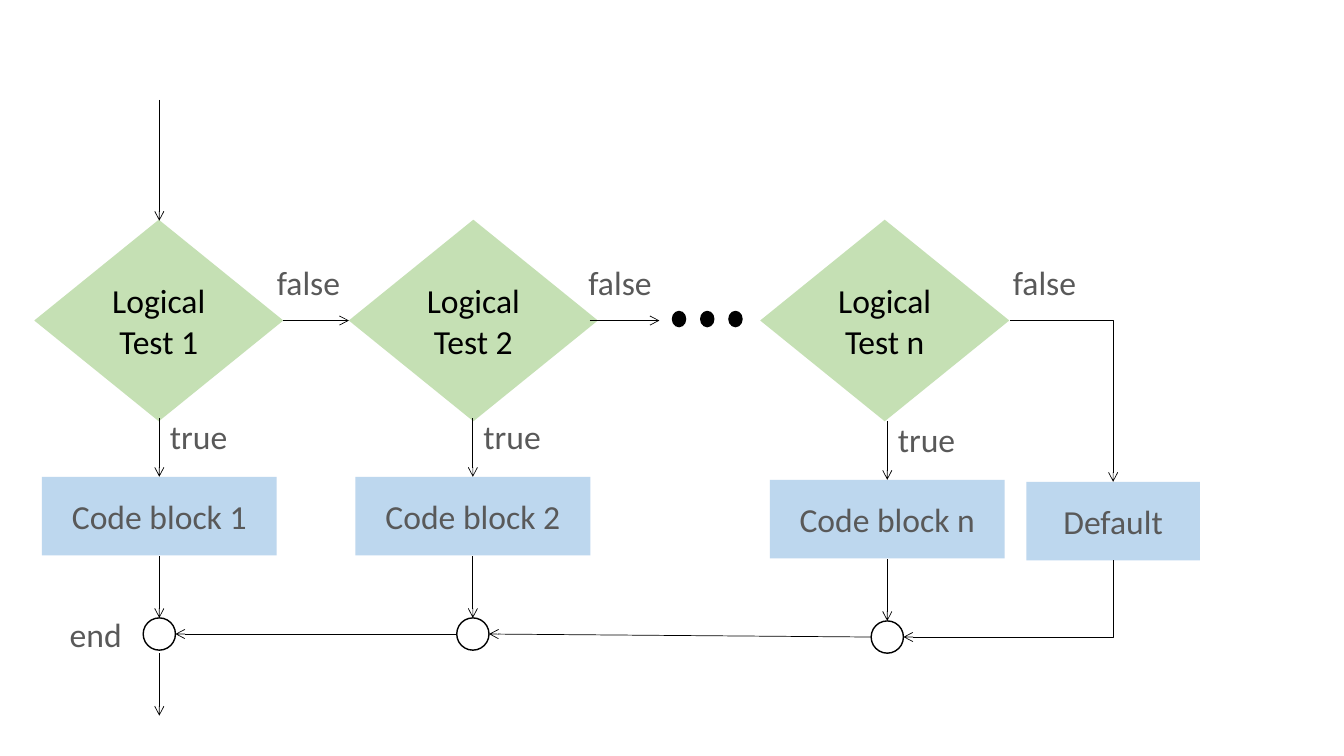
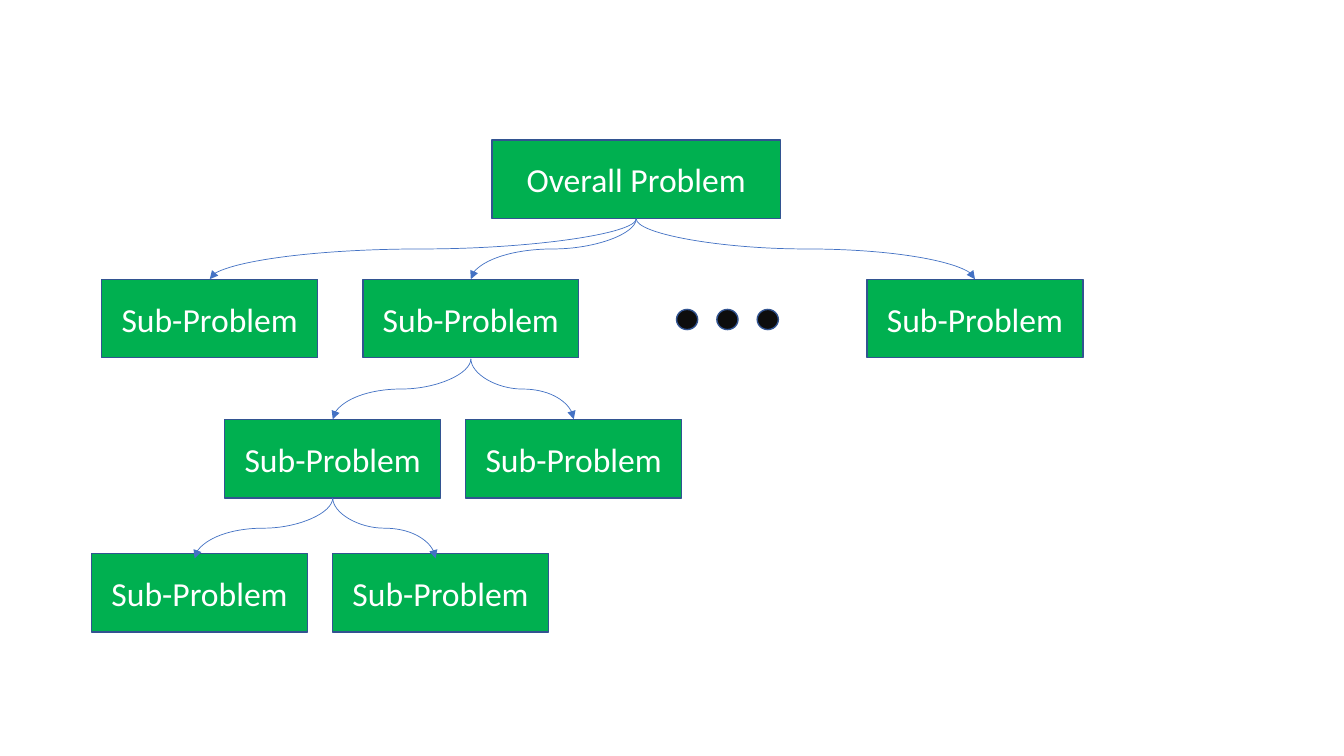
from lxml.etree import SubElement
from pptx import Presentation
from pptx.dml.color import RGBColor
from pptx.enum.shapes import MSO_CONNECTOR, MSO_SHAPE
from pptx.enum.text import MSO_ANCHOR, PP_ALIGN
from pptx.oxml.ns import qn
from pptx.util import Inches, Pt

BLACK, WHITE, GREY = "000000", "FFFFFF", "595959"
LIME, SKY = "C5E0B4", "BDD7EE"
GREEN, NAVY, BLUE, DOT = "00B050", "325491", "4472C4", "0D0D0D"
BOX_HEIGHT = 0.78


def color(code):
    """Turn a hex string into a colour."""
    return RGBColor.from_string(code)


def assign(target, values):
    """Set each named attribute on the target."""
    for name, value in values.items():
        setattr(target, name, value)


class Diagram:
    """Hold the shared style and the slide being drawn."""

    FONT = {"name": "Calibri", "size": Pt(24)}
    FRAME = {"word_wrap": True, "vertical_anchor": MSO_ANCHOR.MIDDLE}

    def __init__(self):
        """Start a wide presentation."""
        self.deck = Presentation()
        assign(self.deck, {"slide_width": Inches(13.33), "slide_height": Inches(7.5)})

    def new_slide(self):
        """Move on to a fresh blank slide."""
        self.slide = self.deck.slides.add_slide(self.deck.slide_layouts[6])

    def add_words(self, holder, words, ink):
        """Put centred words into a shape or text box."""
        frame = holder.text_frame
        assign(frame, self.FRAME)
        paragraph = frame.paragraphs[0]
        paragraph.alignment = PP_ALIGN.CENTER
        run = paragraph.add_run()
        run.text = words
        assign(run.font, self.FONT)
        run.font.color.rgb = color(ink)

    def shape(self, kind, left, top, width, height, fill, border=None, words=None, ink=GREY):
        """Draw a filled preset shape with optional border and words."""
        figure = self.slide.shapes.add_shape(
            kind, Inches(left), Inches(top), Inches(width), Inches(height))
        figure.shadow.inherit = False
        figure.fill.solid()
        figure.fill.fore_color.rgb = color(fill)
        if border:
            figure.line.color.rgb = color(border)
            figure.line.width = Pt(1)
        else:
            figure.line.fill.background()
        if words:
            self.add_words(figure, words, ink)
        return figure

    def block(self, center, top, width, fill, words, **look):
        """Draw a rectangle centred on a vertical axis."""
        self.shape(MSO_SHAPE.RECTANGLE, center - width / 2, top, width, BOX_HEIGHT,
                   fill, words=words, **look)

    def label(self, left, top, words):
        """Place a short free-standing label."""
        box = self.slide.shapes.add_textbox(
            Inches(left), Inches(top), Inches(0.96), Inches(BOX_HEIGHT))
        self.add_words(box, words, GREY)

    def dots(self, left, top, step, width, height, fill, border):
        """Draw three evenly spaced dots as one group."""
        self.slide.shapes.add_group_shape([
            self.shape(MSO_SHAPE.OVAL, left + step * place, top, width, height, fill, border)
            for place in range(3)])

    def arrow(self, start, end, kind=MSO_CONNECTOR.STRAIGHT, ink=BLACK, head="arrow", preset=None):
        """Draw a thin connector with an arrowhead at its end."""
        link = self.slide.shapes.add_connector(kind, *map(Inches, (*start, *end)))
        link.line.color.rgb = color(ink)
        link.line.width = Pt(0.5)
        outline = link.element.spPr
        SubElement(outline.find(qn("a:ln")), qn("a:tailEnd"), type=head)
        SubElement(outline, qn("a:effectLst"))
        if preset:
            outline.find(qn("a:prstGeom")).set("prst", preset)
        return link

    def descend(self, start, end, **look):
        """Draw a connector that leaves its start downwards."""
        (x1, y1), (x2, y2) = start, end
        middle_x, middle_y = (x1 + x2) / 2, (y1 + y2) / 2
        rightward = x2 > x1
        reach, half = (y2 - y1) / 2, abs(x2 - x1) / 2
        side = -reach if rightward else reach
        link = self.arrow((middle_x - side, middle_y - half),
                          (middle_x + side, middle_y + half), **look)
        turn = 270 if rightward else 90
        link.element.spPr.find(qn("a:xfrm")).set("rot", str(turn * 60000))


def draw_conditions(diagram):
    """Draw the chain of logical tests."""
    diagram.new_slide()
    branches = [("1", 1.58, 0.34, 2.58, 0), ("2", 4.69, 3.46, 5.67, 0),
                ("n", 8.8, 7.54, 9.88, 0.03)]
    for number, axis, test_left, false_left, drop in branches:
        diagram.block(axis, 4.73 + drop, 2.33, SKY, f"Code block {number}")
        diagram.shape(MSO_SHAPE.FLOWCHART_DECISION, test_left, 2.18, 2.47, 2, LIME,
                      words=f"Logical Test {number}", ink=BLACK)
        diagram.shape(MSO_SHAPE.OVAL, axis - 0.16, 6.13 + drop, 0.32, 0.32, WHITE, BLACK)
        for top, bottom in ((4.15, 4.73), (5.52, 6.13)):
            diagram.arrow((axis, top + drop), (axis, bottom + drop))
        diagram.label(axis - 0.09, 3.94 + drop, "true")
        diagram.label(false_left, 2.41, "false")
    diagram.label(0.47, 5.9, "end")
    diagram.dots(6.67, 3.09, 0.28, 0.13, 0.15, BLACK, BLACK)
    diagram.block(11.04, 4.78, 1.72, SKY, "Default")
    for start, end in (((1.58, 0.99), (1.58, 2.19)), ((1.58, 6.48), (1.58, 7.1)),
                       ((2.81, 3.18), (3.46, 3.18)), ((5.85, 3.18), (6.54, 3.18)),
                       ((8.64, 6.32), (4.85, 6.29)), ((4.53, 6.29), (1.74, 6.29))):
        diagram.arrow(start, end)
    elbow = {"kind": MSO_CONNECTOR.ELBOW, "preset": "bentConnector2"}
    diagram.arrow((10.02, 3.18), (11.04, 4.78), **elbow)
    diagram.descend((11.04, 5.56), (8.96, 6.32), **elbow)


def draw_decomposition(diagram):
    """Draw the tree of problems and sub-problems."""
    diagram.new_slide()
    look = {"border": NAVY, "ink": WHITE}
    diagram.block(6.31, 1.39, 2.86, GREEN, "Overall Problem", **look)
    levels = [(6.31, 2.17, 2.77, (2.08, 4.67, 9.67), 0),
              (4.67, 3.56, 4.16, (3.3, 5.69), 0),
              (3.3, 4.94, 5.49, (1.98, 4.37), 0.05)]
    for parent, bottom, top, children, shift in levels:
        for child in children:
            diagram.block(child, top, 2.14, GREEN, "Sub-Problem", **look)
            diagram.descend((parent, bottom), (child - shift, bottom + 0.6),
                            kind=MSO_CONNECTOR.CURVE, ink=BLUE, head="triangle")
    diagram.dots(6.71, 3.07, 0.4, 0.21, 0.2, DOT, NAVY)


diagram = Diagram()
draw_conditions(diagram)
draw_decomposition(diagram)
diagram.deck.save("out.pptx")
